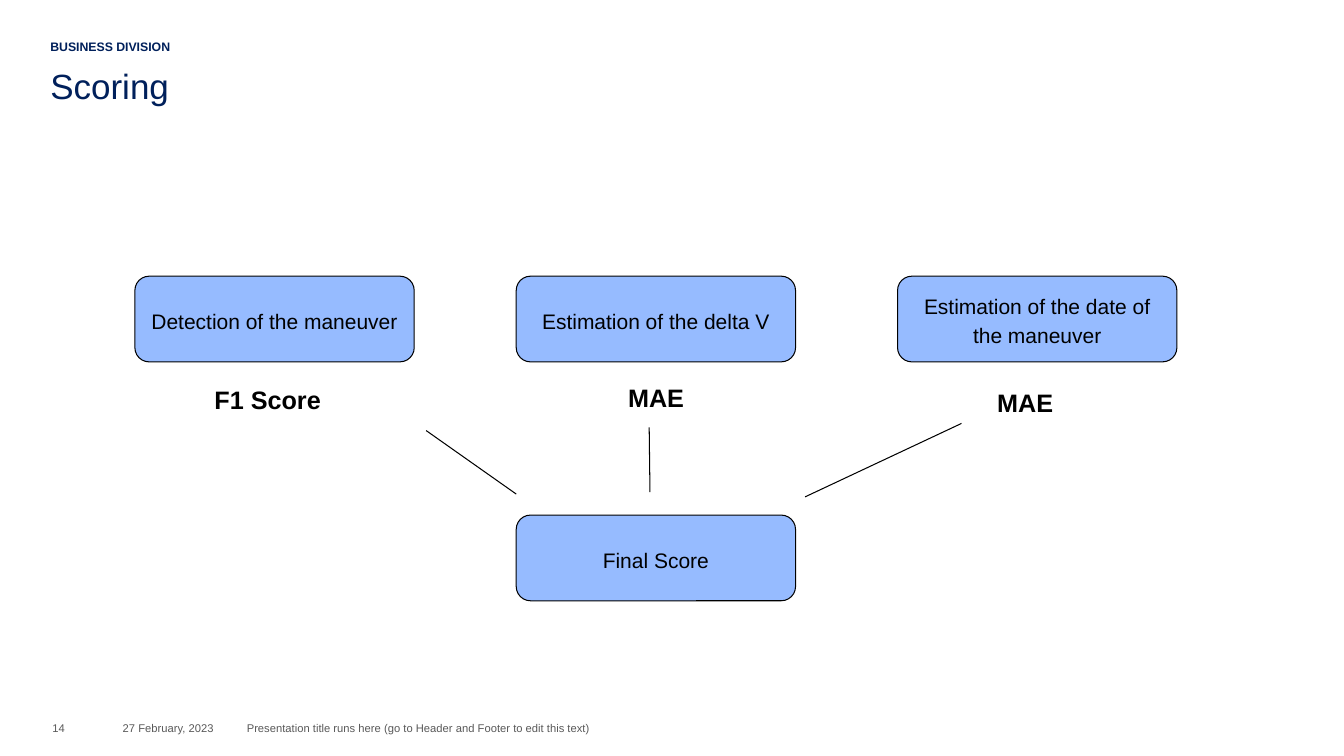
from lxml import etree
from pptx import Presentation
from pptx.dml.color import RGBColor
from pptx.enum.shapes import MSO_CONNECTOR, MSO_SHAPE
from pptx.enum.text import MSO_ANCHOR, MSO_AUTO_SIZE, PP_ALIGN
from pptx.oxml.ns import qn
from pptx.util import Cm, Pt

FONT = "Arial"
NAVY, BLACK, GREY, BLUE = "00205B", "000000", "595959", "96BBFF"

BOX_W, BOX_H = 7.04, 2.16
BOX_LEFT, BOX_STEP = 3.4, 9.61
CRITERIA_TOP, FINAL_TOP = 6.96, 12.98

CRITERIA = ["Detection of the maneuver", "Estimation of the delta V",
            "Estimation of the date of the maneuver"]
# text, left, top
METRICS = [("F1 Score ", -0.86, 9.45), ("MAE", 8.84, 9.4), ("MAE", 18.14, 9.53)]
# x1, y1, x2, y2
LINKS = [(10.74, 10.85, 13.01, 12.45),
         (16.36, 10.77, 16.38, 12.4),
         (24.23, 10.67, 20.29, 12.52)]
# text, left, width, alignment
FOOTERS = [("14", 1.32, 0.81, PP_ALIGN.LEFT),
           ("27 February, 2023", 2.16, 3.23, PP_ALIGN.RIGHT),
           ("Presentation title runs here (go to Header and Footer to edit this text)",
            6.22, 23.04, PP_ALIGN.LEFT)]


def rgb(color):
    return RGBColor.from_string(color)


def set_text(tf, text, size, color, bold=False, align=PP_ALIGN.LEFT,
             anchor=MSO_ANCHOR.TOP, spacing=1.0):
    tf.word_wrap = True
    tf.vertical_anchor = anchor
    tf.text = text
    p = tf.paragraphs[0]
    p.alignment = align
    p.line_spacing = spacing
    font = p.runs[0].font
    font.name, font.size, font.bold = FONT, Pt(size), bold
    font.color.rgb = rgb(color)


def clear_margins(tf):
    tf.margin_left = tf.margin_top = tf.margin_right = tf.margin_bottom = 0


def add_title(s, text):
    sp = s.shapes.title
    sp.left, sp.top, sp.width, sp.height = Cm(1.27), Cm(1.52), Cm(31.24), Cm(2.44)
    tf = sp.text_frame
    tf.auto_size = MSO_AUTO_SIZE.NONE
    clear_margins(tf)
    set_text(tf, text, 25, NAVY, spacing=1.1)


def add_plain_text(s, text, left, top, width, height, size, color, **style):
    """Add a text box without inner margins."""
    sp = s.shapes.add_textbox(Cm(left), Cm(top), Cm(width), Cm(height))
    clear_margins(sp.text_frame)
    set_text(sp.text_frame, text, size, color, **style)


def add_metric(s, text, left, top):
    sp = s.shapes.add_textbox(Cm(left), Cm(top), Cm(15.39), Cm(1.14))
    set_text(sp.text_frame, text, 18, BLACK, bold=True,
             align=PP_ALIGN.CENTER, spacing=1.15)


def add_box(s, text, column, top):
    sp = s.shapes.add_shape(MSO_SHAPE.ROUNDED_RECTANGLE,
                            Cm(BOX_LEFT + column * BOX_STEP), Cm(top),
                            Cm(BOX_W), Cm(BOX_H))
    sp.shadow.inherit = False
    sp.fill.solid()
    sp.fill.fore_color.rgb = rgb(BLUE)
    sp.line.color.rgb = rgb(BLACK)
    sp.line.width = Pt(0.75)
    set_text(sp.text_frame, text, 15, BLACK, align=PP_ALIGN.CENTER,
             anchor=MSO_ANCHOR.MIDDLE, spacing=1.15)


def add_link(s, x1, y1, x2, y2):
    line = s.shapes.add_connector(MSO_CONNECTOR.STRAIGHT,
                                  Cm(x1), Cm(y1), Cm(x2), Cm(y2))
    line.line.color.rgb = rgb(BLACK)
    line.line.width = Pt(0.75)
    etree.SubElement(line._element.spPr, qn("a:effectLst"))


def main():
    prs = Presentation()
    prs.slide_width, prs.slide_height = Cm(33.87), Cm(19.05)
    s = prs.slides.add_slide(prs.slide_layouts[5])

    add_plain_text(s, "BUSINESS DIVISION", 1.27, 0.98, 6, 0.4, 8.8, NAVY, bold=True)
    add_title(s, "Scoring")
    for text, left, width, align in FOOTERS:
        add_plain_text(s, text, left, 17.91, width, 0.61, 8, GREY,
                       align=align, anchor=MSO_ANCHOR.BOTTOM)

    for metric in METRICS:
        add_metric(s, *metric)
    for column, text in enumerate(CRITERIA):
        add_box(s, text, column, CRITERIA_TOP)
    add_box(s, "Final Score", 1, FINAL_TOP)
    for link in LINKS:
        add_link(s, *link)

    prs.save("out.pptx")


if __name__ == "__main__":
    main()
